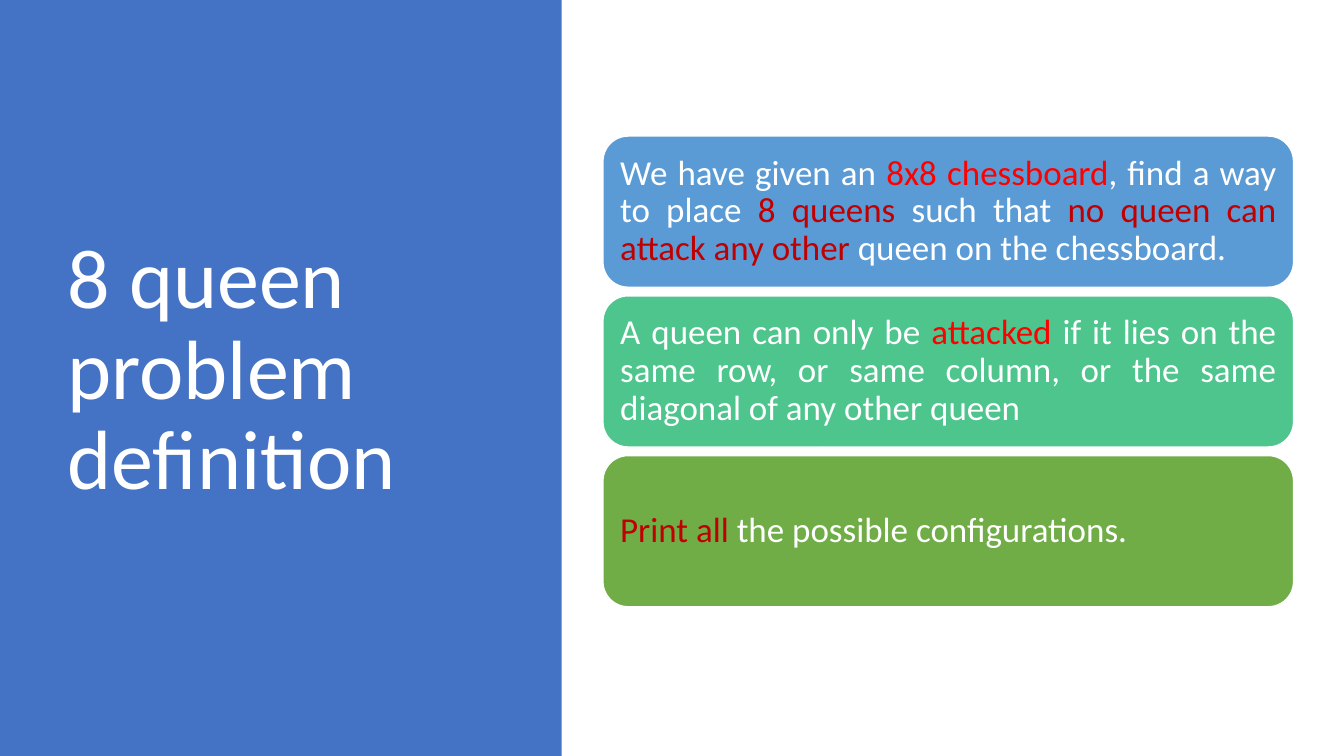
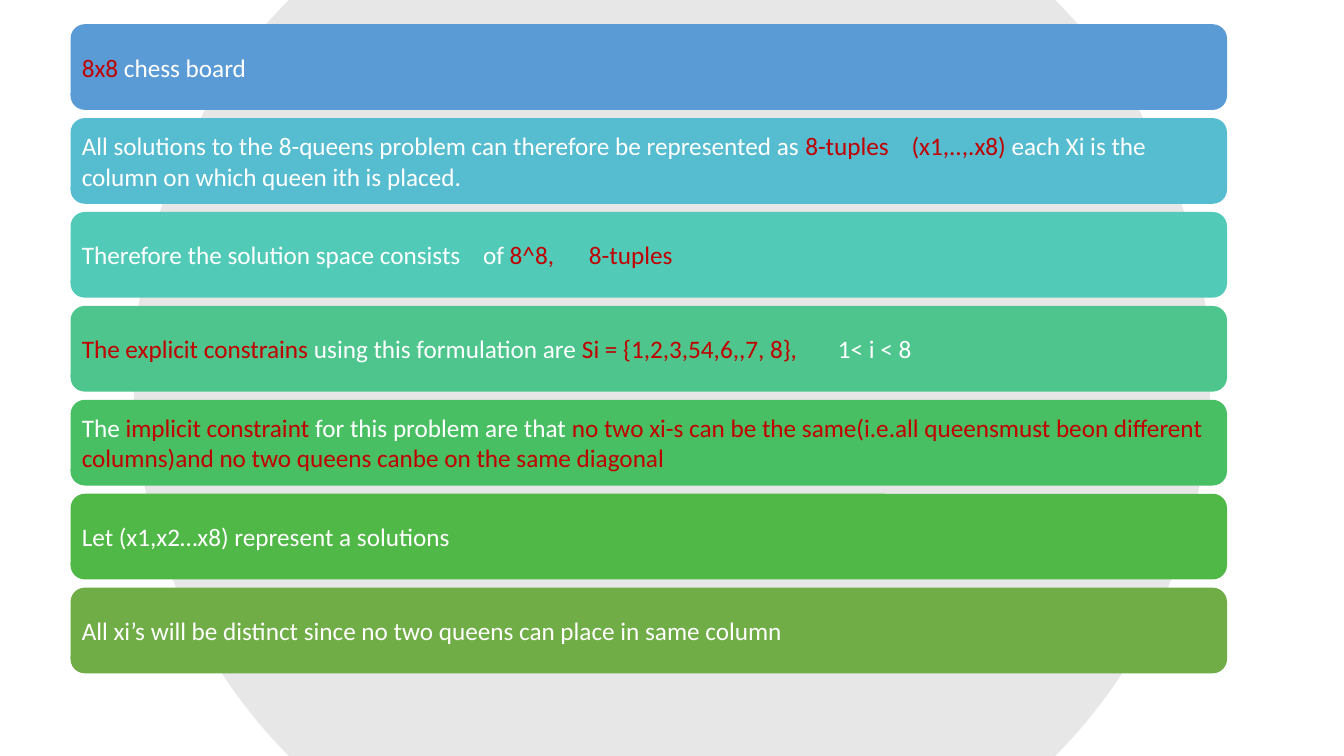
import math

from lxml import etree
from pptx import Presentation
from pptx.dml.color import RGBColor
from pptx.enum.shapes import MSO_SHAPE
from pptx.enum.text import MSO_ANCHOR, MSO_AUTO_SIZE, PP_ALIGN
from pptx.oxml.ns import qn
from pptx.util import Pt

PX = 9144  # EMU per px, 100 px to the inch
SLIDE_WIDTH, SLIDE_HEIGHT = 1333, 750
TITLE_ONLY, BLANK = 5, 6
FONT = "Calibri"

RECTANGLE = MSO_SHAPE.RECTANGLE
ROUNDED = MSO_SHAPE.ROUNDED_RECTANGLE
MIDDLE = MSO_ANCHOR.MIDDLE
NO_AUTOFIT = MSO_AUTO_SIZE.NONE
LEFT, JUSTIFY = PP_ALIGN.LEFT, PP_ALIGN.JUSTIFY

WHITE, RED, DARK_RED = "FFFFFF", "FF0000", "C00000"
BAND_BLUE, CIRCLE_GREY = "4472C4", "D9D9D9"
BLUE, GREEN, OLIVE = "5B9BD5", "4DC58D", "70AD47"

# Each card: fill, runs of (text, colour), tab stops in px
DEFINITION_CARDS = [
    (BLUE, [("We have given an ", WHITE), ("8x8 chessboard", RED),
            (", find a way to place ", WHITE), ("8 queens ", DARK_RED),
            ("such that ", WHITE),
            ("no queen can attack any other ", DARK_RED),
            ("queen on the chessboard.", WHITE)], []),
    (GREEN, [("A queen can only be ", WHITE), ("attacked ", RED),
             ("if it lies on the same row, or same column, or the same "
              "diagonal of any other queen", WHITE)], []),
    (OLIVE, [("Print all ", DARK_RED),
             ("the possible configurations.", WHITE)], []),
]
SOLUTION_CARDS = [
    (BLUE, [("8x8", DARK_RED), (" chess board", WHITE)], []),
    ("56BCD0", [("All solutions to the 8-queens problem can therefore be "
                 "represented as ", WHITE),
                ("8-tuples\t(x1,..,.x8) ", DARK_RED),
                ("each Xi is the column on which queen ith is placed.",
                 WHITE)], [823]),
    ("52CAB8", [("Therefore the solution space consists\tof ", WHITE),
                ("8^8,\t8-tuples", DARK_RED)], [398, 503]),
    (GREEN, [("The explicit constrains ", DARK_RED),
             ("using this formulation are ", WHITE),
             ("Si = {1,2,3,54,6,,7, 8},\t", DARK_RED),
             ("1< i < 8", WHITE)], [750]),
    ("49BF64", [("The ", WHITE), ("implicit constraint ", DARK_RED),
                ("for this problem are that ", WHITE),
                ("no two xi-s can be the same(i.e.all queensmust beon "
                 "different columns)and no two queens canbe on the same "
                 "diagonal", DARK_RED)], []),
    ("50B846", [("Let (x1,x2…x8) represent a solutions", WHITE)], []),
    (OLIVE, [("All xi’s will be distinct since no two queens can place in "
              "same column", WHITE)], []),
]


def color(value):
    return RGBColor.from_string(value)


def add_slide(presentation, layout):
    return presentation.slides.add_slide(presentation.slide_layouts[layout])


def paint(shape, fill, outline=None):
    shape.shadow.inherit = False
    shape.fill.solid()
    shape.fill.fore_color.rgb = color(fill)
    if outline:
        shape.line.color.rgb = color(outline)
        shape.line.width = Pt(1)
    else:
        shape.line.fill.background()


def add_box(slide, kind, box, fill, outline=None):
    shape = slide.shapes.add_shape(kind, *(round(n * PX) for n in box))
    paint(shape, fill, outline)
    return shape


def write_title(title, text, box, size):
    title.left, title.top, title.width, title.height = (n * PX for n in box)
    frame = title.text_frame
    frame.text = text
    frame.word_wrap = True
    frame.auto_size = NO_AUTOFIT
    frame.vertical_anchor = MIDDLE
    paragraph = frame.paragraphs[0]
    paragraph.alignment = LEFT
    paragraph.line_spacing = 0.9
    paragraph.font.name = FONT
    paragraph.font.size = Pt(size)
    paragraph.font.color.rgb = color(WHITE)


def add_tab_stops(paragraph, stops):
    tabs = etree.SubElement(paragraph._p.get_or_add_pPr(), qn("a:tabLst"))
    for stop in stops:
        etree.SubElement(tabs, qn("a:tab"), pos=str(stop * PX), algn="l")


def write_card(shape, runs, stops, size, inset, alignment, line_spacing):
    frame = shape.text_frame
    frame.word_wrap = True
    frame.vertical_anchor = MIDDLE
    frame.margin_left = frame.margin_right = inset * PX
    frame.margin_top = frame.margin_bottom = inset * PX
    paragraph = frame.paragraphs[0]
    if stops:
        add_tab_stops(paragraph, stops)
    paragraph.alignment = alignment
    paragraph.line_spacing = line_spacing
    paragraph.font.name = FONT
    paragraph.font.size = Pt(size)
    for text, text_color in runs:
        run = paragraph.add_run()
        run.text = text
        run.font.color.rgb = color(text_color)


def add_card_stack(slide, cards, area, height, outline=None, **text_style):
    """Spread cards of one height evenly from the top to the bottom of area."""
    left, top, width, total = area
    pitch = (total - height) / (len(cards) - 1)
    for index, (fill, runs, stops) in enumerate(cards):
        box = (left, top + index * pitch, width, height)
        card = add_box(slide, ROUNDED, box, fill, outline)
        write_card(card, runs, stops, **text_style)


def add_cropped_circle(slide, radius):
    """A centred circle, cut off at the top and bottom of the slide."""
    center_x, center_y = SLIDE_WIDTH / 2, SLIDE_HEIGHT / 2
    limit = math.asin(center_y / radius)
    steps = 60
    angles = [limit * (2 * step / steps - 1) for step in range(steps + 1)]
    angles += [angle + math.pi for angle in angles]
    points = [((center_x + radius * math.cos(angle)) * PX,
               (center_y + radius * math.sin(angle)) * PX)
              for angle in angles]
    builder = slide.shapes.build_freeform(*points[0])
    builder.add_line_segments(points[1:], close=True)
    circle = builder.convert_to_shape()
    paint(circle, CIRCLE_GREY)
    fill_color = circle._element.spPr.find(
        qn("a:solidFill")).find(qn("a:srgbClr"))
    etree.SubElement(fill_color, qn("a:alpha"), val="62000")


def build_definition(presentation):
    slide = add_slide(presentation, TITLE_ONLY)
    title = slide.shapes.title
    write_title(title, "8 queen problem definition", (57, 68, 416, 602), 60)
    band = add_box(slide, RECTANGLE, (0, 0, 557, SLIDE_HEIGHT), BAND_BLUE)
    title._element.addprevious(band._element)  # band goes behind the title
    add_card_stack(slide, DEFINITION_CARDS, (598, 135, 685, 467), 150, WHITE,
                   size=25, inset=10, alignment=JUSTIFY, line_spacing=0.9)


def build_solution(presentation):
    slide = add_slide(presentation, BLANK)
    add_cropped_circle(slide, 534)
    add_card_stack(slide, SOLUTION_CARDS, (70, 24, 1147, 644), 85,
                   size=18, inset=7, alignment=LEFT, line_spacing=1.0)


def main():
    presentation = Presentation()
    presentation.slide_width = SLIDE_WIDTH * PX
    presentation.slide_height = SLIDE_HEIGHT * PX
    build_definition(presentation)
    build_solution(presentation)
    presentation.save("out.pptx")


if __name__ == "__main__":
    main()
